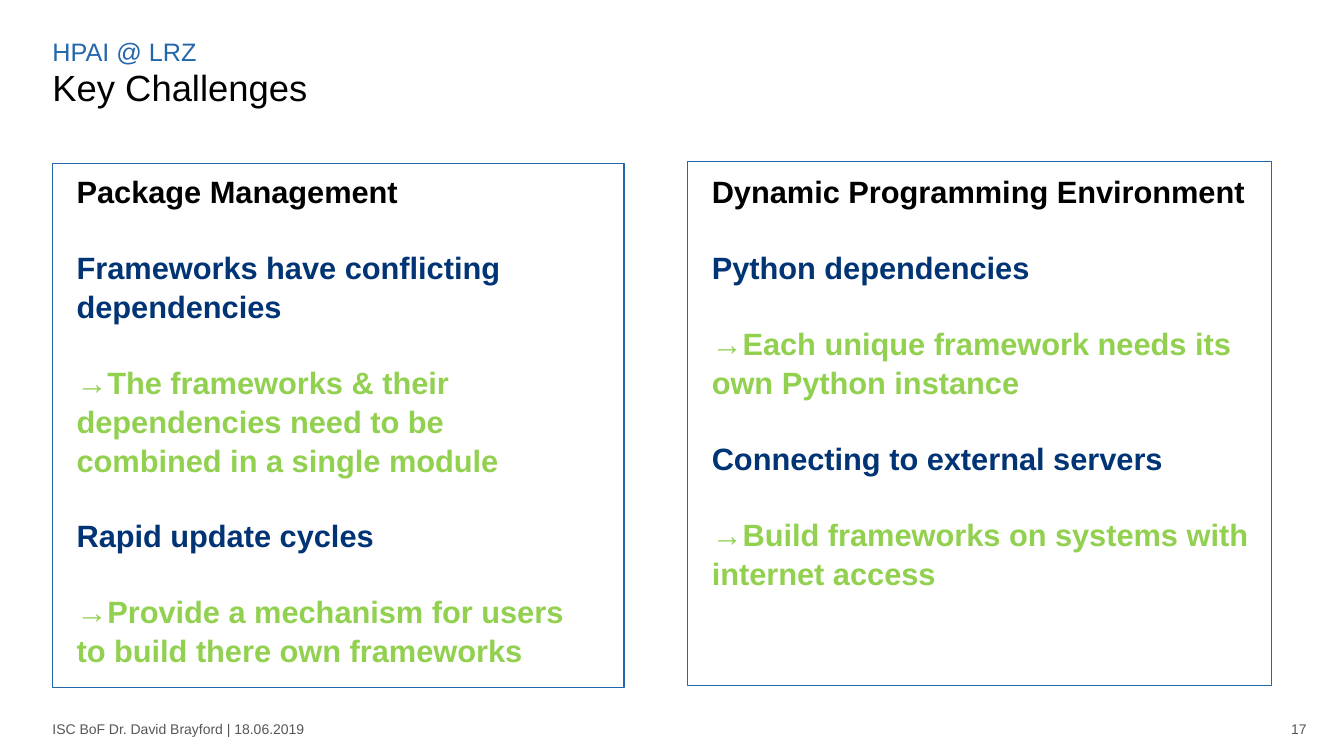
from dataclasses import dataclass

from lxml.etree import SubElement
from pptx import Presentation
from pptx.dml.color import RGBColor
from pptx.enum.shapes import MSO_SHAPE
from pptx.enum.text import MSO_ANCHOR, MSO_AUTO_SIZE, PP_ALIGN
from pptx.oxml.ns import qn
from pptx.util import Inches, Pt


@dataclass(frozen=True)
class Theme:
    font: str = "Arial"
    black: str = "000000"
    blue: str = "2467AB"
    navy: str = "003474"
    green: str = "92D050"
    gray: str = "575756"
    title: int = 26
    kicker: int = 18
    body: int = 22
    small: int = 10
    gap: float = 26.5
    lead: float = 1.05


THEME = Theme()

LEFT = [
    ("Package Management", THEME.black),
    ("Frameworks have conflicting dependencies", THEME.navy),
    ("→The frameworks & their dependencies need to be combined in a single module", THEME.green),
    ("Rapid update cycles", THEME.navy),
    ("→Provide a mechanism for users to build there own frameworks", THEME.green),
]
RIGHT = [
    ("Dynamic Programming Environment", THEME.black),
    ("Python dependencies", THEME.navy),
    ("→Each unique framework needs its own Python instance", THEME.green),
    ("Connecting to external servers", THEME.navy),
    ("→Build frameworks on systems with internet access", THEME.green),
]


def place(shape, left, top, width, height):
    shape.left, shape.top = Inches(left), Inches(top)
    shape.width, shape.height = Inches(width), Inches(height)


def set_frame(frame, anchor, wrap=True):
    frame.margin_left = frame.margin_right = 0
    frame.margin_top = frame.margin_bottom = 0
    frame.auto_size = MSO_AUTO_SIZE.NONE
    frame.vertical_anchor = anchor
    frame.word_wrap = wrap


def style(para, size, color, bold=False, align=PP_ALIGN.LEFT):
    para.alignment = align
    para.space_before = Pt(0)
    font = para.font
    font.name = THEME.font
    font.size = Pt(size)
    font.bold = bold
    font.color.rgb = RGBColor.from_string(color)


def add_title(slide, text):
    title = slide.shapes.title
    place(title, 0.52, 0.7, 11.46, 0.39)
    set_frame(title.text_frame, MSO_ANCHOR.BOTTOM)
    title.text_frame.text = text
    para = title.text_frame.paragraphs[0]
    style(para, THEME.title, THEME.black)
    para.line_spacing = 0.9


def add_label(slide, text, box, size, color, anchor=MSO_ANCHOR.MIDDLE,
              align=PP_ALIGN.LEFT, wrap=True):
    label = slide.shapes.add_textbox(*map(Inches, box))
    set_frame(label.text_frame, anchor, wrap)
    label.text_frame.text = text
    style(label.text_frame.paragraphs[0], size, color, align=align)


def add_frame(slide, box):
    rect = slide.shapes.add_shape(MSO_SHAPE.RECTANGLE, *map(Inches, box))
    rect.shadow.inherit = False
    rect.fill.background()
    rect.line.color.rgb = RGBColor.from_string(THEME.blue)
    rect.line.width = Pt(1)


def fill_list(holder, box, items):
    place(holder, *box)
    frame = holder.text_frame
    set_frame(frame, MSO_ANCHOR.TOP)
    for row, (text, color) in enumerate(items):
        para = frame.add_paragraph() if row else frame.paragraphs[0]
        para.text = text
        props = para._p.get_or_add_pPr()
        props.set("marL", "0")
        props.set("indent", "0")
        SubElement(props, qn("a:buNone"))
        style(para, THEME.body, color, bold=True)
        para.line_spacing = THEME.lead
        para.space_before = Pt(THEME.gap if row else 0)


def main():
    deck = Presentation()
    deck.slide_width, deck.slide_height = Inches(13.33), Inches(7.5)
    slide = deck.slides.add_slide(deck.slide_layouts[3])
    add_title(slide, "Key Challenges")
    add_label(slide, "HPAI @ LRZ", (0.52, 0.36, 11.45, 0.28), THEME.kicker,
              THEME.blue, MSO_ANCHOR.TOP)
    fill_list(slide.placeholders[1], (0.76, 1.7, 5.12, 5), LEFT)
    fill_list(slide.placeholders[2], (7.06, 1.7, 5.43, 5), RIGHT)
    add_frame(slide, (0.52, 1.62, 5.67, 5.2))
    add_frame(slide, (6.82, 1.6, 5.79, 5.2))
    add_label(slide, "ISC BoF Dr. David Brayford | 18.06.2019",
              (0.52, 7.15, 2.56, 0.17), THEME.small, THEME.gray, wrap=False)
    add_label(slide, "17", (12.61, 7.15, 0.35, 0.17), THEME.small, THEME.gray,
              align=PP_ALIGN.RIGHT)
    deck.save("out.pptx")


if __name__ == "__main__":
    main()
